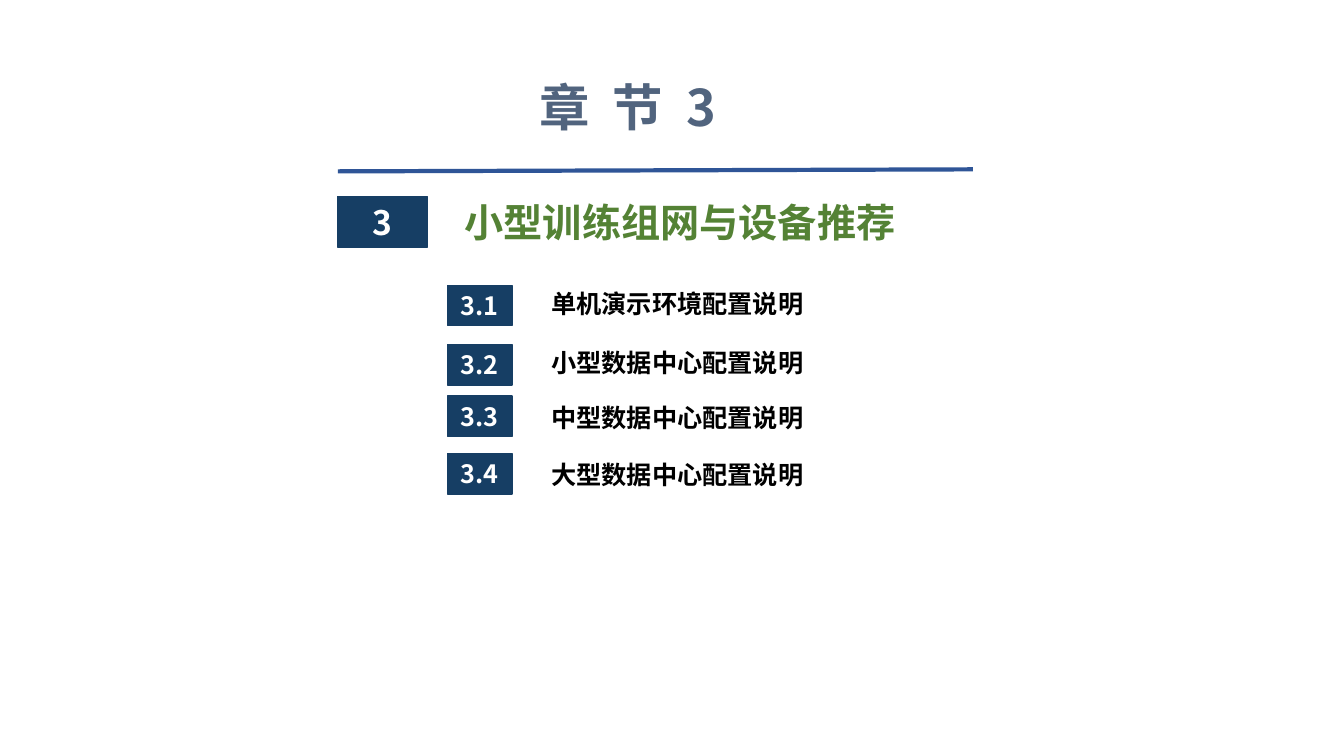
from pptx import Presentation
from pptx.dml.color import RGBColor
from pptx.enum.shapes import MSO_CONNECTOR, MSO_SHAPE
from pptx.enum.text import MSO_ANCHOR as Anchor, MSO_AUTO_SIZE as AutoSize, PP_ALIGN as Align
from pptx.oxml.ns import qn
from pptx.util import Inches, Pt

CJK_FONT = "Noto Sans CJK SC"
NAVY = "163E64"
SECTIONS = [
    # number, badge top, label, label top
    ("3.1", 2.83, "单机演示环境配置说明", 2.81),
    ("3.2", 3.42, "小型数据中心配置说明", 3.40),
    ("3.3", 3.93, "中型数据中心配置说明", 3.94),
    ("3.4", 4.50, "大型数据中心配置说明", 4.51),
]


def color(value):
    return RGBColor.from_string(value)


def write(shape, text, size, hue, align=Align.LEFT, font=CJK_FONT):
    """Fill a shape with one bold, vertically centred line of text."""
    frame = shape.text_frame
    frame.text = text
    frame.word_wrap = True
    frame.auto_size = AutoSize.NONE
    frame.vertical_anchor = Anchor.MIDDLE
    para = frame.paragraphs[0]
    para.alignment = align
    span = para.runs[0]
    span.font.size = Pt(size)
    span.font.bold = True
    span.font.name = font
    span.font.color.rgb = color(hue)
    east_asian = span.font._element.makeelement(qn("a:ea"), {"typeface": CJK_FONT})
    span.font._element.find(qn("a:latin")).addnext(east_asian)


def add_badge(slide, box, number, size):
    badge = slide.shapes.add_shape(MSO_SHAPE.RECTANGLE, *map(Inches, box))
    badge.shadow.inherit = False
    badge.fill.solid()
    badge.fill.fore_color.rgb = color(NAVY)
    badge.line.color.rgb = color(NAVY)
    badge.line.width = Pt(1)
    write(badge, number, size, "FFFFFF", Align.CENTER)


def add_label(slide, box, text, size, hue, font=CJK_FONT):
    label = slide.shapes.add_textbox(*map(Inches, box))
    write(label, text, size, hue, font=font)


def add_title(slide, box, text):
    title = slide.shapes.title
    title.left, title.top, title.width, title.height = map(Inches, box)
    write(title, text, 36, "51647E", Align.CENTER)


def add_rule(slide, ends):
    rule = slide.shapes.add_connector(MSO_CONNECTOR.STRAIGHT, *map(Inches, ends))
    rule.line.color.rgb = color("2F5597")
    rule.line.width = Pt(3)
    properties = rule._element.spPr
    properties.append(properties.makeelement(qn("a:effectLst"), {}))


def add_chapter(slide, left, top):
    add_badge(slide, (left, top, 0.89, 0.5), "3", 24)
    add_label(slide, (left + 1.16, top - 0.03, 7.62, 0.57),
              "小型训练组网与设备推荐", 28, "548235")


def add_sections(slide, left):
    for number, badge_top, text, label_top in SECTIONS:
        add_badge(slide, (left, badge_top, 0.64, 0.4), number, 18)
        add_label(slide, (left + 0.93, label_top, 6.14, 0.4), text, 18, "000000", "Arial")


def main():
    deck = Presentation()
    deck.slide_width, deck.slide_height = Inches(13.33), Inches(7.5)
    slide = deck.slides.add_slide(deck.slide_layouts.get_by_name("Title Only"))
    add_rule(slide, (3.35, 1.7, 9.65, 1.68))
    add_title(slide, (-0.44, 0.77, 13.33, 0.57), "章  节  3")
    add_chapter(slide, 3.35, 1.95)
    add_sections(slide, 4.44)
    deck.save("out.pptx")


if __name__ == "__main__":
    main()
